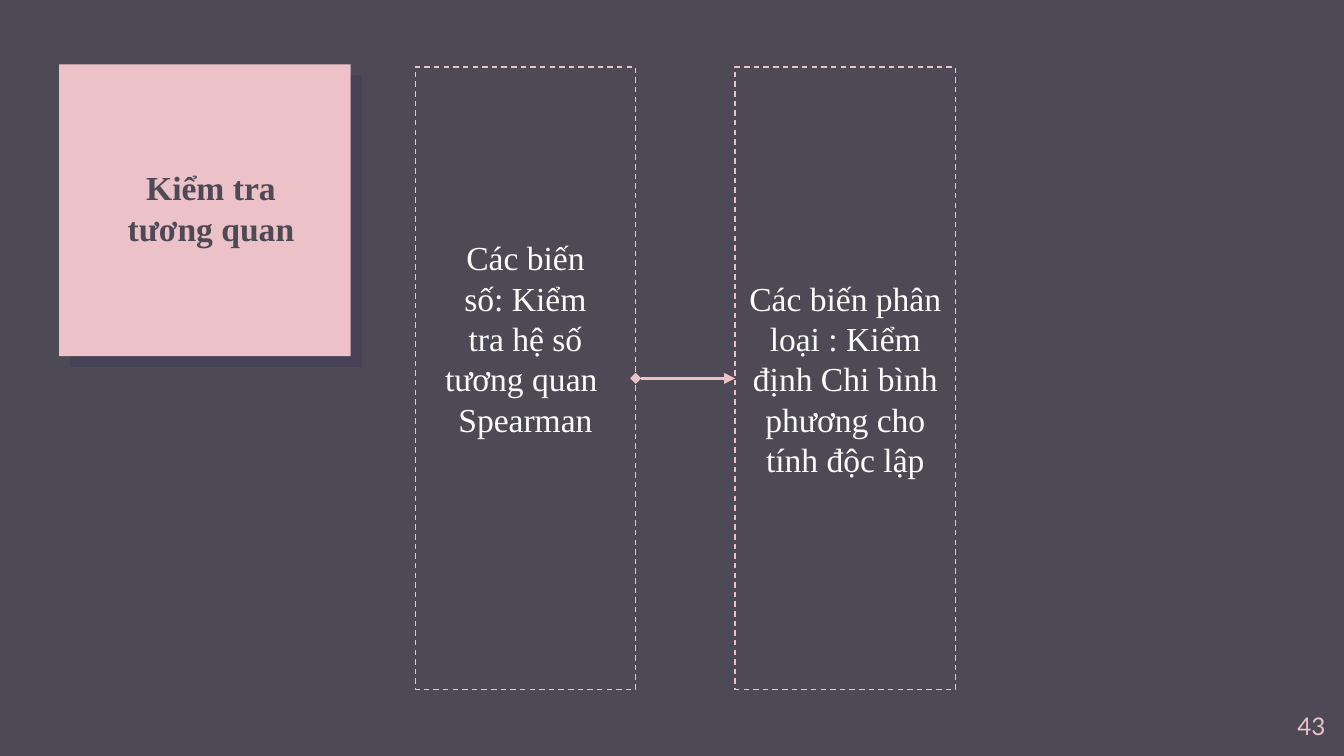
from dataclasses import dataclass

from lxml import etree
from pptx import Presentation
from pptx import util as u
from pptx.dml.color import RGBColor
from pptx.enum import dml, shapes, text
from pptx.oxml import ns

COLORS = {
    "background": "4D4A56",
    "pink": "ECC1C8",
    "white": "FFFFFF",
    "shadow": "20124D",
}
SERIF = "Times New Roman"
HARD_SPACE = chr(160)
SLIDE_WIDTH = 10
SLIDE_HEIGHT = SLIDE_WIDTH * 9 / 16
INSET = 0.1
PANEL_TOP, PANEL_WIDTH, PANEL_HEIGHT = 0.5, 1.64, 4.63


@dataclass
class Panel:
    left: float
    paragraphs: list[str]
    bottom_inset: float = INSET


@dataclass
class TextStyle:
    color: str
    size: float = 18
    font: str = SERIF
    bold: bool = False
    align: text.PP_ALIGN = text.PP_ALIGN.CENTER
    anchor: text.MSO_ANCHOR = text.MSO_ANCHOR.MIDDLE


NUMERIC_TEXT = HARD_SPACE.join(["Các biến số:", "Kiểm tra", "hệ", "số tương", "quan", ""])
PANELS = [
    Panel(3.09, [NUMERIC_TEXT, "Spearman"], 0.7),
    Panel(5.47, ["Các biến phân loại : Kiểm định Chi bình phương cho tính độc lập"]),
]


def rgb(name: str) -> RGBColor:
    return RGBColor.from_string(COLORS[name])


def box(left: float, top: float, width: float, height: float) -> list[u.Length]:
    return [u.Inches(value) for value in (left, top, width, height)]


def apply(target, values: dict) -> None:
    for name, value in values.items():
        setattr(target, name, value)


def write(shape, paragraphs: list[str], style: TextStyle, bottom_inset: float = INSET) -> None:
    frame = shape.text_frame
    apply(frame, {
        "word_wrap": True,
        "auto_size": text.MSO_AUTO_SIZE.NONE,
        "vertical_anchor": style.anchor,
        "margin_left": u.Inches(INSET),
        "margin_top": u.Inches(INSET),
        "margin_right": u.Inches(INSET),
        "margin_bottom": u.Inches(bottom_inset),
    })
    frame.text = "\n".join(paragraphs)
    for paragraph in frame.paragraphs:
        paragraph.alignment = style.align
        for run in paragraph.runs:
            apply(run.font, {"name": style.font, "size": u.Pt(style.size), "bold": style.bold})
            run.font.color.rgb = rgb(style.color)


def add_rectangle(slide, left: float, top: float, width: float, height: float):
    shape = slide.shapes.add_shape(shapes.MSO_SHAPE.RECTANGLE, *box(left, top, width, height))
    shape.shadow.inherit = False
    return shape


def add_title_square(slide) -> None:
    square = add_rectangle(slide, 0.44, 0.48, 2.17, 2.17)
    square.fill.solid()
    square.fill.fore_color.rgb = rgb("pink")
    square.line.fill.background()
    effects = square._element.spPr.find(ns.qn("a:effectLst"))
    shadow = etree.SubElement(effects, ns.qn("a:outerShdw"), dist=str(u.Pt(8.2)),
                              dir="2700000", algn="bl", rotWithShape="0")
    color = etree.SubElement(shadow, ns.qn("a:srgbClr"), val=COLORS["shadow"])
    etree.SubElement(color, ns.qn("a:alpha"), val="15000")


def add_title(slide) -> None:
    title = slide.shapes.title
    slide.shapes._spTree.append(title._element)
    left, top, width, height = box(0.79, 0.9, 1.56, 1.29)
    apply(title, {"left": left, "top": top, "width": width, "height": height})
    write(title, ["Kiểm tra tương quan"], TextStyle("background", bold=True))


def add_panel(slide, panel: Panel):
    shape = add_rectangle(slide, panel.left, PANEL_TOP, PANEL_WIDTH, PANEL_HEIGHT)
    shape.fill.background()
    shape.line.color.rgb = rgb("pink")
    apply(shape.line, {"width": u.Pt(0.75), "dash_style": dml.MSO_LINE.DASH})
    write(shape, panel.paragraphs, TextStyle("white"), panel.bottom_inset)
    return shape


def add_arrow(slide, source, target) -> None:
    arrow = slide.shapes.add_connector(shapes.MSO_CONNECTOR.STRAIGHT, 0, 0, 0, 0)
    arrow.begin_connect(source, 3)
    arrow.end_connect(target, 1)
    arrow.line.color.rgb = rgb("pink")
    arrow.line.width = u.Pt(1.5)
    line = arrow.line._get_or_add_ln()
    for tag, kind in (("a:headEnd", "diamond"), ("a:tailEnd", "triangle")):
        etree.SubElement(line, ns.qn(tag), type=kind, w="med", len="med")
    etree.SubElement(arrow._element.spPr, ns.qn("a:effectLst"))


def add_page_number(slide) -> None:
    number = slide.shapes.add_textbox(*box(9.36, 5.19, 0.6, 0.43))
    write(number, ["43"], TextStyle("pink", 13, "Lato", align=text.PP_ALIGN.RIGHT,
                                    anchor=text.MSO_ANCHOR.TOP))


def main() -> None:
    presentation = Presentation()
    apply(presentation, {"slide_width": u.Inches(SLIDE_WIDTH),
                         "slide_height": u.Inches(SLIDE_HEIGHT)})
    slide = presentation.slides.add_slide(presentation.slide_layouts[5])
    slide.background.fill.solid()
    slide.background.fill.fore_color.rgb = rgb("background")

    add_title_square(slide)
    add_title(slide)
    first, second = [add_panel(slide, panel) for panel in PANELS]
    add_arrow(slide, first, second)
    add_page_number(slide)
    presentation.save("out.pptx")


if __name__ == "__main__":
    main()
